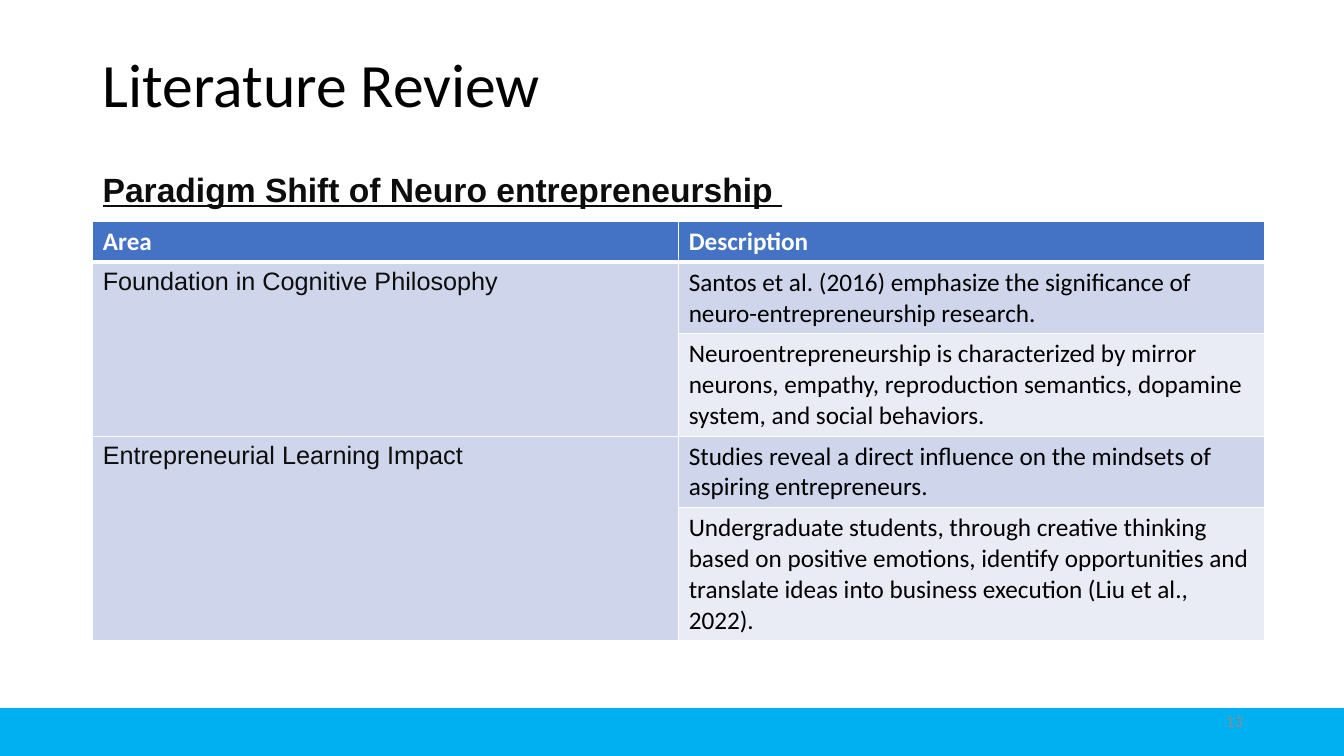
from lxml import etree
from pptx import Presentation, util as u
from pptx.dml.color import RGBColor
from pptx.enum import shapes, text
from pptx.oxml import ns

WIDTH, HEIGHT = u.Inches(13.33), u.Inches(7.5)
LEFT, CONTENT_WIDTH = 0.069, 0.863  # shares of the slide's width
TABLE_WIDTH = 0.872
LINE_HEIGHT, CELL_PADDING = 0.305, 0.1  # inches

WHITE = RGBColor(0xFF, 0xFF, 0xFF)
BLACK = RGBColor(0x00, 0x00, 0x00)
INK = RGBColor(0x0D, 0x0D, 0x0D)
GRAY = RGBColor(0x8C, 0x8C, 0x8C)
SKY = RGBColor(0x00, 0xB0, 0xF0)
HEADER_BLUE = RGBColor(0x44, 0x72, 0xC4)
BAND_DARK = RGBColor(0xCF, 0xD5, 0xEA)
BAND_LIGHT = RGBColor(0xE9, 0xEB, 0xF5)

HEADERS = ("Area", "Description")
# Each area holds its descriptions, with the lines each one takes up
AREAS = (
    ("Foundation in Cognitive Philosophy", (
        ("Santos et al. (2016) emphasize the significance of "
         "neuro-entrepreneurship research.", 2),
        ("Neuroentrepreneurship is characterized by mirror neurons, empathy, "
         "reproduction semantics, dopamine system, and social behaviors.", 3),
    )),
    ("Entrepreneurial Learning Impact", (
        ("Studies reveal a direct influence on the mindsets of "
         "aspiring entrepreneurs.", 2),
        ("Undergraduate students, through creative thinking based on positive "
         "emotions, identify opportunities and translate ideas into business "
         "execution (Liu et al., 2022).", 4),
    )),
)


def place(left, top, width, height):
    """Turn shares of the slide's size into lengths."""
    return (round(WIDTH * left), round(HEIGHT * top),
            round(WIDTH * width), round(HEIGHT * height))


def write(frame, words, size, color, font="Calibri", bold=False, underline=False):
    frame.text = words
    paragraph = frame.paragraphs[0]
    style = paragraph.runs[0].font
    style.name, style.size, style.color.rgb = font, u.Pt(size), color
    style.bold, style.underline = bold, underline
    return paragraph


def add_label(slide, area, words, size, color,
              anchor=text.MSO_ANCHOR.MIDDLE, **style):
    frame = slide.shapes.add_textbox(*place(*area)).text_frame
    frame.word_wrap = True
    frame.vertical_anchor = anchor
    return write(frame, words, size, color, **style)


def add_footer_band(slide):
    band = slide.shapes.add_shape(shapes.MSO_SHAPE.RECTANGLE,
                                  *place(0, 0.937, 1, 0.063))
    band.shadow.inherit = False
    band.fill.solid()
    band.fill.fore_color.rgb = band.line.color.rgb = SKY
    band.line.width = u.Pt(1)


def add_borders(cell, bottom_width):
    properties = cell._tc.get_or_add_tcPr()
    for side, width in zip("LRTB", (1, 1, 1, bottom_width)):
        border = etree.SubElement(properties, ns.qn(f"a:ln{side}"),
                                  w=str(u.Pt(width)))
        fill = etree.SubElement(border, ns.qn("a:solidFill"))
        etree.SubElement(fill, ns.qn("a:srgbClr"), val=str(WHITE))


def paint(cell, color, bottom_width=1):
    add_borders(cell, bottom_width)
    cell.fill.solid()
    cell.fill.fore_color.rgb = color


def set_row_height(table, row, lines):
    table.rows[row].height = u.Inches(lines * LINE_HEIGHT + CELL_PADDING)


def add_review_table(slide):
    row_count = 1 + sum(len(descriptions) for _, descriptions in AREAS)
    table = slide.shapes.add_table(
        row_count, len(HEADERS), *place(LEFT, 0.293, TABLE_WIDTH, 0.55)).table
    table.horz_banding = False

    set_row_height(table, 0, 1)
    for column, header in enumerate(HEADERS):
        cell = table.cell(0, column)
        paint(cell, HEADER_BLUE, bottom_width=3)
        write(cell.text_frame, header, 18, WHITE, bold=True)

    row = 1
    for area, descriptions in AREAS:
        first = table.cell(row, 0)
        first.merge(table.cell(row + len(descriptions) - 1, 0))
        write(first.text_frame, area, 18, INK, font="Arial")
        for index, (description, lines) in enumerate(descriptions):
            set_row_height(table, row, lines)
            paint(table.cell(row, 0), BAND_DARK)
            cell = table.cell(row, 1)
            paint(cell, BAND_LIGHT if index % 2 else BAND_DARK)
            write(cell.text_frame, description, 18, BLACK)
            row += 1


def main():
    deck = Presentation()
    deck.slide_width, deck.slide_height = WIDTH, HEIGHT
    slide = deck.slides.add_slide(deck.slide_layouts[6])

    title = add_label(slide, (LEFT, 0.019, CONTENT_WIDTH, 0.193),
                      "Literature Review", 44, BLACK)
    title.line_spacing = 0.9
    add_footer_band(slide)
    page = add_label(slide, (0.707, 0.927, 0.225, 0.053), "13", 12, GRAY)
    page.alignment = text.PP_ALIGN.RIGHT

    heading = add_label(slide, (LEFT, 0.223, CONTENT_WIDTH, 0.677),
                        "Paradigm Shift of Neuro entrepreneurship ", 24, INK,
                        anchor=text.MSO_ANCHOR.TOP, font="Arial",
                        bold=True, underline=True)
    heading.line_spacing = 0.9
    heading.space_before = u.Pt(10)
    add_review_table(slide)

    deck.save("out.pptx")


if __name__ == "__main__":
    main()
